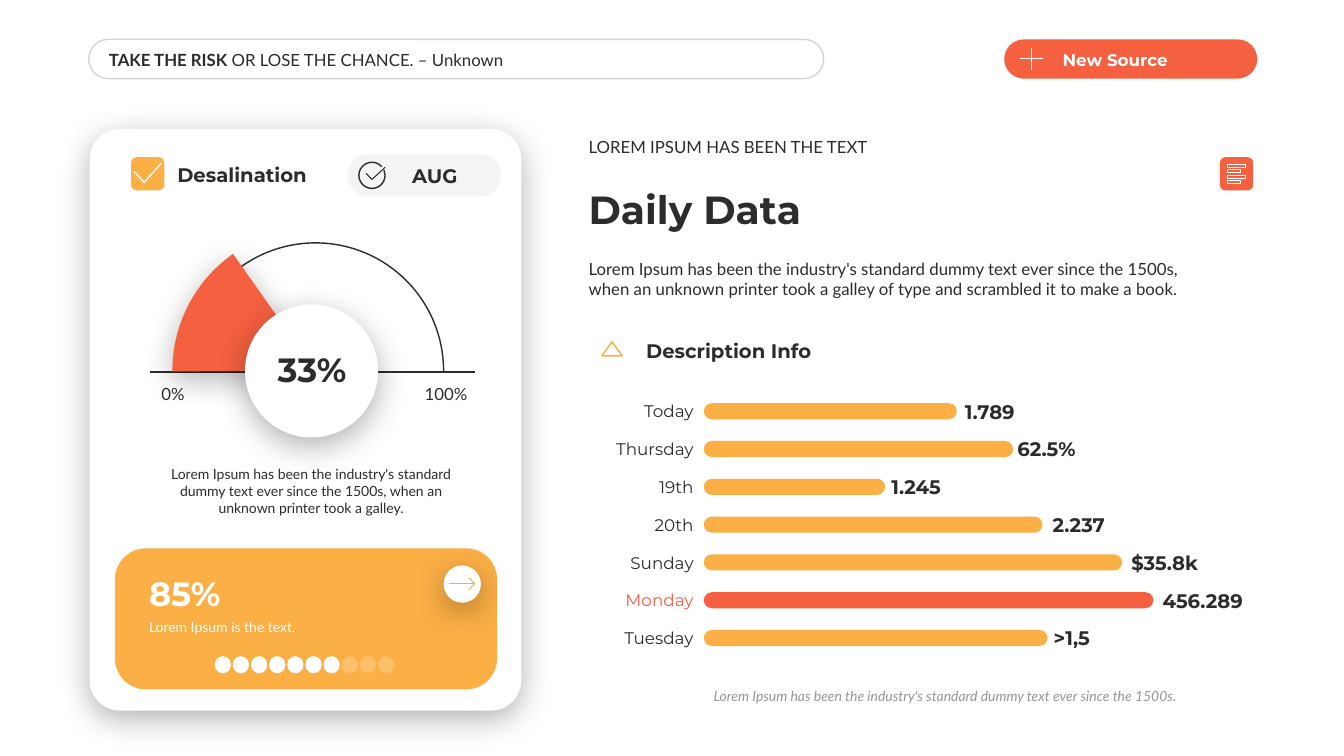
from lxml.etree import SubElement
from pptx import Presentation
from pptx.dml.color import RGBColor
from pptx.enum.shapes import MSO_CONNECTOR, MSO_SHAPE
from pptx.enum.text import MSO_ANCHOR, PP_ALIGN
from pptx.oxml.ns import qn
from pptx.util import Inches, Pt

COLORS = {"ink": "2C2C2C", "white": "FFFFFF", "red": "F56040",
          "gold": "FCAF45", "gray": "969696", "black": "000000"}
HEAD, BODY = "Montserrat", "Lato"
ROUND, OVAL, ARC = MSO_SHAPE.ROUNDED_RECTANGLE, MSO_SHAPE.OVAL, MSO_SHAPE.ARC
LEFT, MID, RIGHT = PP_ALIGN.LEFT, PP_ALIGN.CENTER, PP_ALIGN.RIGHT
TOP, CENTER, BASE = MSO_ANCHOR.TOP, MSO_ANCHOR.MIDDLE, MSO_ANCHOR.BOTTOM
PAD = (0.1, 0.05, 0.1, 0.05)
BARS = [  # day, bar length, gap before value, value, color
    ("Today", 2.51, 0.08, "1.789", "gold"),
    ("Thursday", 3.07, 0.04, "62.5%", "gold"),
    ("19th", 1.8, 0.06, "1.245", "gold"),
    ("20th", 3.36, 0.1, "2.237", "gold"),
    ("Sunday", 4.15, 0.09, "$35.8k", "gold"),
    ("Monday", 4.46, 0.09, "456.289", "red"),
    ("Tuesday", 3.41, 0.06, ">1,5", "gold"),
]


def paint(target, color, alpha=100):
    """Color a fill, with opacity in percent."""
    target.solid()
    target.fore_color.rgb = RGBColor.from_string(COLORS[color])
    if alpha < 100:
        tint = target._xPr.find(qn("a:solidFill"))[0]
        SubElement(tint, qn("a:alpha"), val=str(alpha * 1000))


def style(item, fill=None, line=None, width=1, alpha=100, fade=100):
    item.shadow.inherit = False
    if fill:
        paint(item.fill, fill, alpha)
    else:
        item.fill.background()
    if line:
        item.line.width = Pt(width)
        paint(item.line.fill, line, fade)
    else:
        item.line.fill.background()


def shape(slide, kind, x, y, w, h, fill=None, adjust=(), **look):
    item = slide.shapes.add_shape(kind, Inches(x), Inches(y), Inches(w), Inches(h))
    for i, value in enumerate(adjust):
        item.adjustments[i] = value
    style(item, fill, **look)
    return item


def shade(item):
    """Give a shape a soft shadow below it."""
    effects = item._element.spPr.find(qn("a:effectLst"))
    outer = SubElement(effects, qn("a:outerShdw"), blurRad=str(Pt(23)),
                       dist=str(Pt(6)), dir="5400000", algn="t", rotWithShape="0")
    color = SubElement(outer, qn("a:srgbClr"), val=COLORS["black"])
    SubElement(color, qn("a:alpha"), val="30000")


def stroke(slide, points, color, width=0.75):
    """Draw an open line through points."""
    spots = [(Inches(x), Inches(y)) for x, y in points]
    pen = slide.shapes.build_freeform(*spots[0], scale=1.0)
    pen.add_line_segments(spots[1:], close=False)
    style(pen.convert_to_shape(), line=color, width=width)


def text(slide, x, y, w, h, runs, size, font=BODY, color="ink", bold=False,
         slant=False, align=LEFT, anchor=CENTER, pad=PAD, wrap=True):
    """Add one paragraph; runs is a string or a list of (string, bold)."""
    box = slide.shapes.add_textbox(Inches(x), Inches(y), Inches(w), Inches(h))
    frame = box.text_frame
    frame.word_wrap, frame.vertical_anchor = wrap, anchor
    (frame.margin_left, frame.margin_top,
     frame.margin_right, frame.margin_bottom) = map(Inches, pad)
    line = frame.paragraphs[0]
    line.alignment = align
    for words, heavy in [(runs, bold)] if isinstance(runs, str) else runs:
        run = line.add_run()
        run.text = words
        run.font.name, run.font.size = font, Pt(size)
        run.font.bold, run.font.italic = heavy, slant
        run.font.color.rgb = RGBColor.from_string(COLORS[color])


def title(slide, x, y, w, h, words, size, **look):
    text(slide, x, y, w, h, words, size, font=HEAD, bold=True, **look)


def quote(slide, x, y, w, h):
    shape(slide, ROUND, x, y, w, h, adjust=[0.5], line="ink", fade=20)
    text(slide, x + 0.16, y + 0.05, 6.51, 0.3,
         [("TAKE THE RISK ", True), ("OR LOSE THE CHANCE. – Unknown", False)],
         12, pad=(0.04, 0.05, 0.04, 0.05))


def button(slide, x, y, w, h):
    shape(slide, ROUND, x, y, w, h, "red", [0.5])
    title(slide, x + 0.48, y + 0.05, 2.02, 0.3, "New Source", 12, color="white")
    cx, cy, arm = x + 0.27, y + h / 2, 0.11
    stroke(slide, [(cx - arm, cy), (cx + arm, cy)], "white")
    stroke(slide, [(cx, cy - arm), (cx, cy + arm)], "white")


def header(slide, x, y):
    """Place the card's name and month."""
    shape(slide, ROUND, x, y + 0.03, 0.33, 0.33, "gold")
    stroke(slide, [(x + 0.03, y + 0.17), (x + 0.13, y + 0.28),
                   (x + 0.3, y + 0.09)], "white", 1)
    title(slide, x + 0.36, y + 0.03, 1.59, 0.34, "Desalination", 14)
    x += 2.15
    shape(slide, ROUND, x, y, 1.52, 0.42, "ink", [0.5], alpha=5)
    shape(slide, ARC, x + 0.11, y + 0.08, 0.26, 0.26,
          adjust=[202.2, 190.8], line="ink")
    stroke(slide, [(x + 0.18, y + 0.19), (x + 0.24, y + 0.25),
                   (x + 0.37, y + 0.13)], "ink")
    title(slide, x + 0.54, y + 0.04, 0.87, 0.34, "AUG", 14)


def gauge(slide, x, y):
    """Place the dial on a base line that starts at x, y."""
    cx, start = x + 1.64, 107.89
    shape(slide, ARC, cx - 1.27, y - 1.28, 2.54, 2.54, adjust=[start, 0], line="ink")
    base = slide.shapes.add_connector(MSO_CONNECTOR.STRAIGHT, Inches(x), Inches(y),
                                      Inches(x + 3.22), Inches(y))
    base.line.width = Pt(1)
    paint(base.line.fill, "ink")
    SubElement(base._element.spPr, qn("a:effectLst"))
    for left, w, words in [(0.11, 0.23, "0%"), (2.72, 0.43, "100%")]:
        text(slide, x + left, y + 0.12, w, 0.2, words, 12,
             align=MID, pad=(0, 0, 0, 0), wrap=False)
    shade(shape(slide, ARC, cx - 1.42, y - 1.43, 2.84, 2.84, "red", [start, 140.88]))
    shade(shape(slide, OVAL, x + 0.94, y - 0.67, 1.32, 1.32, "white"))
    title(slide, x + 0.86, y - 0.28, 1.49, 0.5, "33%", 24, align=MID)


def score(slide, x, y, w, h):
    shape(slide, ROUND, x, y, w, h, "gold", [0.22])
    text(slide, x + 0.24, y + 0.65, 2, 0.27, "Lorem Ipsum is the text.", 10,
         color="white", anchor=TOP)
    title(slide, x + 0.24, y + 0.19, 2, 0.5, "85%", 24, color="white", anchor=BASE)
    for i in range(10):
        shape(slide, ROUND, x + 0.99 + 0.18 * i, y + 1.07, 0.16, 0.17, "white",
              [0.5], alpha=100 if i < 7 else 20)
    shade(shape(slide, OVAL, x + 3.26, y + 0.17, 0.37, 0.37, "white"))
    tip, mid = x + 3.57, y + 0.35
    stroke(slide, [(tip - 0.26, mid), (tip, mid)], "gold")
    stroke(slide, [(tip - 0.06, mid - 0.06), (tip, mid), (tip - 0.06, mid + 0.06)], "gold")


def card(slide, x, y, w, h):
    shade(shape(slide, ROUND, x, y, w, h, "white", [0.07]))
    header(slide, x + 0.41, y + 0.25)
    gauge(slide, x + 0.6, y + 2.41)
    text(slide, x + 0.53, y + 3.29, 3.33, 0.61,
         "Lorem Ipsum has been the industry's standard dummy text ever since "
         "the 1500s, when an unknown printer took a galley.", 10, align=MID, anchor=TOP)
    score(slide, x + 0.25, y + 4.16, 3.79, 1.4)


def intro(slide, x, y, w):
    text(slide, x, y, w, 0.3, "LOREM IPSUM HAS BEEN THE TEXT", 12, anchor=BASE)
    title(slide, x, y + 0.47, w, 0.57, "Daily Data", 28, anchor=BASE)
    text(slide, x, y + 1.21, w, 0.5,
         "Lorem Ipsum has been the industry's standard dummy text ever since the 1500s, "
         "when an unknown printer took a galley of type and scrambled it to make a book.",
         12, anchor=TOP)
    shape(slide, ROUND, x + 6.36, y + 0.25, 0.33, 0.33, "red")
    for top, long in [(0.32, 0.18), (0.37, 0.13), (0.43, 0.18), (0.48, 0.13)]:
        shape(slide, MSO_SHAPE.RECTANGLE, x + 6.43, y + top, long, 0.03,
              line="white", width=0.5)


def chart(slide, x, y):
    """Place the titled rows of bars."""
    shape(slide, MSO_SHAPE.ISOSCELES_TRIANGLE, x + 0.12, y + 0.08, 0.2, 0.14,
          line="gold")
    title(slide, x + 0.46, y, 4.96, 0.34, "Description Info", 14, anchor=BASE)
    for i, (day, long, gap, value, color) in enumerate(BARS):
        mid, left = y + 0.77 + 0.375 * i, x + 1.13
        shape(slide, ROUND, left, mid - 0.08, long, 0.16, color, [0.5])
        text(slide, x, mid - 0.15, 1.03, 0.3, day, 12, font=HEAD, align=RIGHT,
             color="red" if color == "red" else "ink", pad=(0, 0.05, 0, 0.05))
        title(slide, left + long + gap, mid - 0.17, 1.35, 0.34, value, 14,
              pad=(0, 0.05, 0, 0.05))
    text(slide, x + 1.13, y + 3.46, 5.44, 0.27,
         "Lorem Ipsum has been the industry's standard dummy text ever since the 1500s.",
         10, color="gray", slant=True, anchor=TOP)


def main():
    deck = Presentation()
    deck.slide_width, deck.slide_height = Inches(13.33), Inches(7.5)
    slide = deck.slides.add_slide(deck.slide_layouts[6])
    card(slide, 0.89, 1.28, 4.28, 5.77)
    quote(slide, 0.88, 0.39, 7.29, 0.39)
    button(slide, 9.96, 0.39, 2.51, 0.39)
    intro(slide, 5.74, 1.31, 6.22)
    chart(slide, 5.85, 3.31)
    deck.save("out.pptx")


if __name__ == "__main__":
    main()
